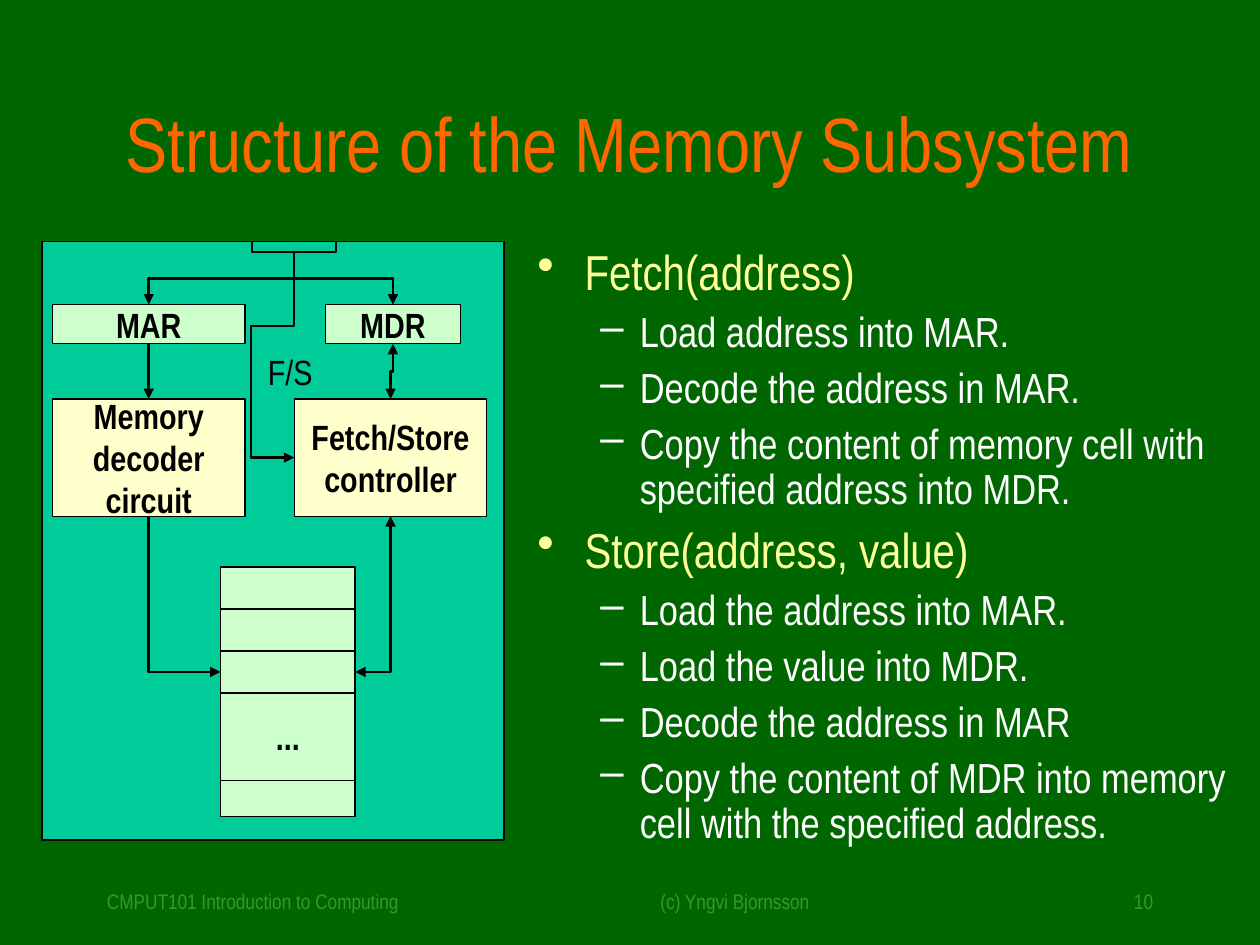
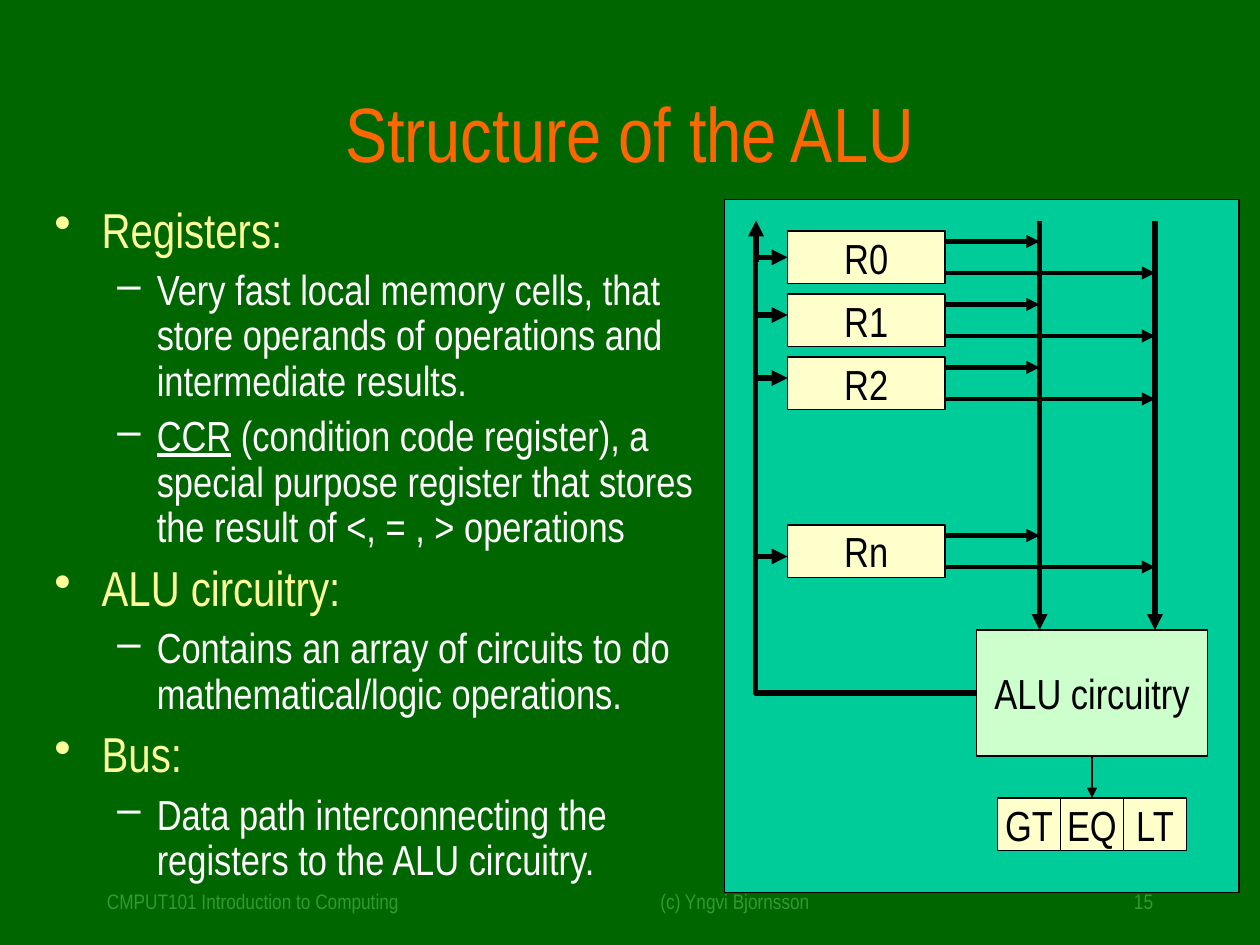
import pptx
import pptx.dml.color
import pptx.enum.shapes
import pptx.enum.text
import pptx.oxml.ns
import pptx.oxml.xmlchemy
import pptx.util
from lxml import etree

Pt = pptx.util.Pt
qn = pptx.oxml.ns.qn
ALIGN = pptx.enum.text.PP_ALIGN
LINK = pptx.enum.shapes.MSO_CONNECTOR
MIDDLE = pptx.enum.text.MSO_ANCHOR.MIDDLE
RECT = pptx.enum.shapes.MSO_SHAPE.RECTANGLE
TOP, LEFT, BOTTOM, RIGHT = range(4)

FONT = "Arial Narrow"
COLORS = {
    "back": "006600", "foot": "339933", "title": "FF6600",
    "head": "FFFF99", "item": "FFFFFF", "ink": "000000",
    "panel": "00CC99", "mint": "CCFFCC", "cream": "FFFFCC",
}
# level: bullet, colour, size, left margin, hanging indent, space before
LEVELS = [("•", "head", 28, 27, -27, 7), ("–", "item", 24, 58.5, -22.5, 6)]


def color(name):
    return pptx.dml.color.RGBColor.from_string(COLORS[name])


def style(para, size, ink, bold=False):
    for run in para.runs:
        run.font.name = FONT
        run.font.size = Pt(size)
        run.font.bold = bold
        run.font.color.rgb = color(ink)


def label(shapes, place, text, size, ink, align=ALIGN.LEFT, wrap=True):
    box = shapes.add_textbox(*map(Pt, place))
    frame = box.text_frame
    frame.word_wrap = wrap
    frame.text = text
    frame.paragraphs[0].alignment = align
    style(frame.paragraphs[0], size, ink)
    return box


def block(shapes, place, fill, text="", size=24, bold=False):
    """Draw a thin-edged rectangle with centred text."""
    rect = shapes.add_shape(RECT, *map(Pt, place))
    rect.shadow.inherit = False
    rect.fill.solid()
    rect.fill.fore_color.rgb = color(fill)
    rect.line.color.rgb = color("ink")
    rect.line.width = Pt(0.75)
    frame = rect.text_frame
    frame.text = text
    frame.word_wrap = False
    frame.vertical_anchor = MIDDLE
    for para in frame.paragraphs:
        para.alignment = ALIGN.CENTER
        style(para, size, "ink", bold)
    return rect


def outline(shapes, place, lines):
    """Write (level, text) lines; text between underscores is underlined."""
    frame = shapes.add_textbox(*map(Pt, place)).text_frame
    frame.word_wrap = True
    for index, (level, text) in enumerate(lines):
        para = frame.add_paragraph() if index else frame.paragraphs[0]
        mark, ink, size, margin, indent, gap = LEVELS[level]
        props = para._p.get_or_add_pPr()
        props.set("marL", str(Pt(margin)))
        props.set("indent", str(Pt(indent)))
        tint = etree.SubElement(props, qn("a:buClr"))
        etree.SubElement(tint, qn("a:srgbClr"), val=COLORS[ink])
        etree.SubElement(props, qn("a:buChar"), char=mark)
        para.level = level
        para.line_spacing = 0.9
        para.space_before = Pt(gap if index else 0)
        for part, piece in enumerate(text.split("_")):
            if piece:
                run = para.add_run()
                run.text = piece
                run.font.underline = part % 2 == 1
        style(para, size, ink)


def finish(link, width, ends):
    """Set ink, width and arrowheads; ends lists headEnd and tailEnd."""
    link.line.color.rgb = color("ink")
    link.line.width = Pt(width)
    for end in ends:
        etree.SubElement(link.line._ln, qn("a:" + end), type="triangle")
    etree.SubElement(link._element.spPr, qn("a:effectLst"))


def line(shapes, start, stop, width, ends=("tailEnd",)):
    link = shapes.add_connector(LINK.STRAIGHT, *map(Pt, start + stop))
    finish(link, width, ends)


def join(shapes, kind, start, stop):
    """Connect two (rectangle, side) pairs."""
    link = shapes.add_connector(kind, 0, 0, 0, 0)
    link.begin_connect(*start)
    link.end_connect(*stop)
    return link


def drop(shapes, upper, lower, width=1.5):
    finish(join(shapes, LINK.STRAIGHT, (upper, BOTTOM), (lower, TOP)),
           width, ["tailEnd"])


def elbow(shapes, start, stop, bends, ratios=(), width=1.5, ends=("tailEnd",)):
    """Join with a bent connector; ratios place its inner bends."""
    link = join(shapes, LINK.ELBOW, start, stop)
    left, top, wide, high = link.left, link.top, link.width, link.height
    right = link.end_x > link.begin_x
    down = link.end_y > link.begin_y
    form = link._element.spPr.find(qn("a:xfrm"))
    if start[1] in (TOP, BOTTOM):
        turn, flips = (270 if right else 90), {"flipH": right == down}
        link.left = left + (wide - high) // 2
        link.top = top + (high - wide) // 2
        link.width, link.height = high, wide
    else:
        turn, flips = (0 if right else 180), {"flipV": right != down}
    for name in ("flipH", "flipV"):
        form.set(name, str(int(flips.get(name, False))))
    form.set("rot", str(turn * 60000))

    shape = link._element.spPr.find(qn("a:prstGeom"))
    shape.set("prst", f"bentConnector{bends + 1}")
    guides = shape.find(qn("a:avLst"))
    if guides is None:
        guides = etree.SubElement(shape, qn("a:avLst"))
    for index, ratio in enumerate(ratios, 1):
        etree.SubElement(guides, qn("a:gd"), name=f"adj{index}",
                         fmla=f"val {round(ratio * 100000)}")
    finish(link, width, ends)


def page(deck, title, number, height):
    """Add a slide with the shared background, footers and title."""
    slide = deck.slides.add_slide(deck.slide_layouts[6])
    slide.background.fill.solid()
    slide.background.fill.fore_color.rgb = color("back")
    shapes = slide.shapes
    feet = [
        (54, 264, "CMPUT101 Introduction to Computing", ALIGN.LEFT),
        (330, 180, "(c) Yngvi Bjornsson", ALIGN.CENTER),
        (516, 150, number, ALIGN.RIGHT),
    ]
    for left, width, text, align in feet:
        label(shapes, (left, 504, width, 24), text, 12, "foot", align)
    box = label(shapes, (54, 48, 612, height), title, 44, "title", ALIGN.CENTER)
    box.text_frame.vertical_anchor = MIDDLE
    return shapes


def memory(deck):
    shapes = page(deck, "Structure of the Memory Subsystem", "10", 66)
    outline(shapes, (300, 138, 408, 378), [
        (0, "Fetch(address)"),
        (1, "Load address into MAR."),
        (1, "Decode the address in MAR."),
        (1, "Copy the content of memory cell with specified address into MDR."),
        (0, "Store(address, value)"),
        (1, "Load the address into MAR."),
        (1, "Load the value into MDR."),
        (1, "Decode the address in MAR"),
        (1, "Copy the content of MDR into memory cell with the specified address."),
    ])
    block(shapes, (24, 138, 264, 342), "panel")
    mar = block(shapes, (30, 174, 110, 22.5), "mint", "MAR", 20, True)
    mdr = block(shapes, (186, 174, 77, 22.5), "mint", "MDR", 20, True)
    cells = [
        block(shapes, (126, top, 77, height), "mint", text, 20, True)
        for top, height, text in [(324, 24, ""), (348, 28, ""), (372, 24, ""),
                                  (444, 22.5, ""), (396, 50, "...")]
    ]
    target = cells[2]
    coder = block(shapes, (30, 228, 110, 67), "cream",
                  "Memory\ndecoder\ncircuit", 20, True)
    store = block(shapes, (168.17, 228, 110, 67), "cream",
                  "Fetch/Store\ncontroller", 20, True)
    both = ("headEnd", "tailEnd")
    elbow(shapes, (coder, BOTTOM), (target, LEFT), 1)
    elbow(shapes, (target, RIGHT), (store, BOTTOM), 1, ends=both)
    elbow(shapes, (store, TOP), (mdr, BOTTOM), 2, [0.5], ends=both)
    drop(shapes, mar, coder)
    line(shapes, (150, 138), (174, 138), 0.75, ())
    port = block(shapes, (144, 138, 48, 6), "panel")
    for unit in (mar, mdr):
        elbow(shapes, (port, BOTTOM), (unit, TOP), 2, [0.5])
    elbow(shapes, (port, BOTTOM), (store, LEFT), 3, [0.36, -144])
    label(shapes, (146, 197, 40, 31), "F/S", 20, "ink", wrap=False)


def alu(deck):
    shapes = page(deck, "Structure of the ALU", "15", 54)
    block(shapes, (414, 114, 294, 396), "panel")
    outline(shapes, (24, 114, 390, 396), [
        (0, "Registers:"),
        (1, "Very fast local memory cells, that store operands of operations "
            "and intermediate results."),
        (1, "_CCR_ (condition code register), a special purpose register that "
            "stores the result of <, = , > operations"),
        (0, "ALU circuitry:"),
        (1, "Contains an array of circuits to do mathematical/logic operations."),
        (0, "Bus:"),
        (1, "Data path interconnecting the registers to the ALU circuitry."),
    ])
    unit = block(shapes, (558, 360, 132, 72), "mint", "ALU circuitry")
    tops = {"R0": 132, "R1": 168, "R2": 204, "Rn": 300}
    buses = (594, 660)
    for bus in buses:
        line(shapes, (bus, 126), (bus, 360), 3)
    for top in tops.values():
        for bus, shift in zip(buses, (6, 24)):
            line(shapes, (528, top + shift), (bus, top + shift), 2.5)

    group = shapes.add_group_shape()
    flags = [block(group.shapes, (570 + 36 * index, 456, 36, 30), "cream", name)
             for index, name in enumerate(("GT", "EQ", "LT"))]
    drop(shapes, unit, flags[1])

    regs = {name: block(shapes, (450, top, 90, 30), "cream", name)
            for name, top in tops.items()}
    elbow(shapes, (unit, LEFT), (regs["R0"], LEFT), 2, [1.17], 3)
    for level in (318, 180, 216):
        line(shapes, (432, level), (450, level), 3)
    line(shapes, (432, 150), (432, 126), 3)


def main():
    deck = pptx.Presentation()
    deck.slide_width = Pt(720)
    deck.slide_height = Pt(540)
    memory(deck)
    alu(deck)
    deck.save("out.pptx")


if __name__ == "__main__":
    main()
